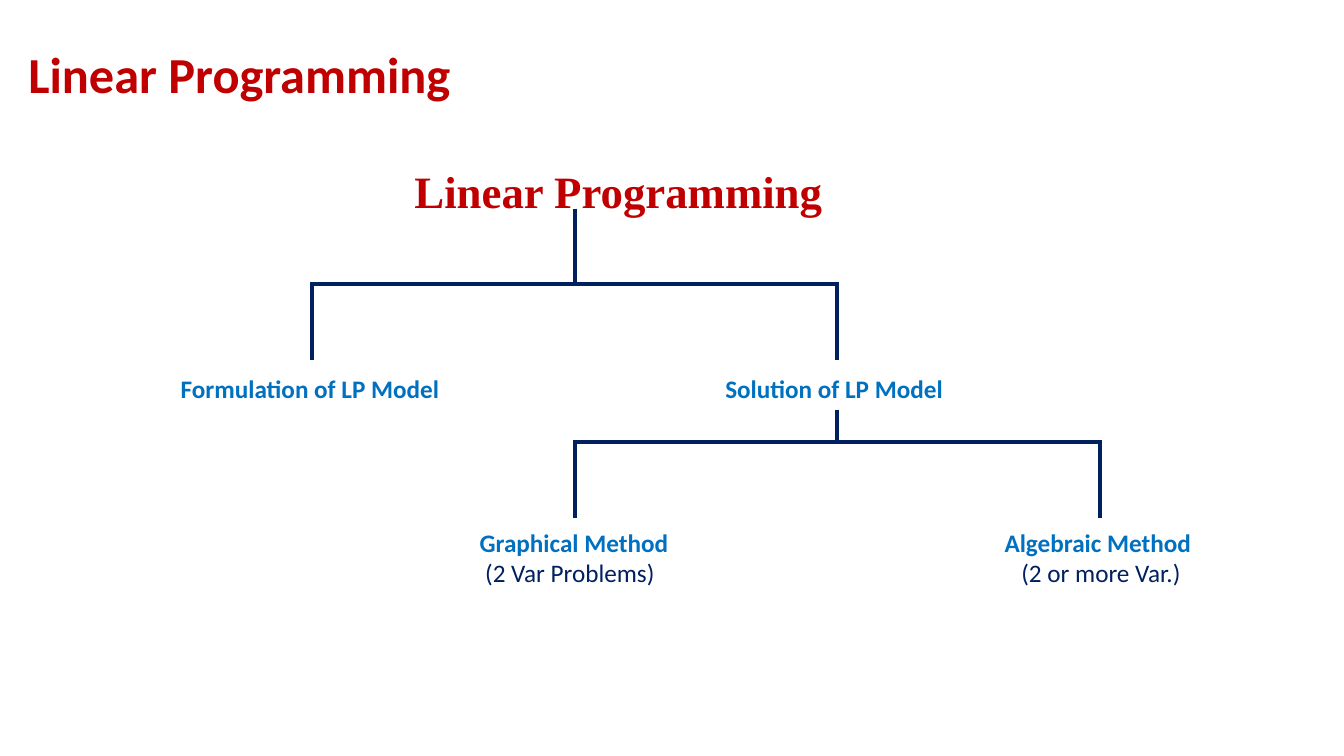
from dataclasses import dataclass
from pptx import Presentation
from pptx.dml.color import RGBColor
from pptx.enum.shapes import MSO_CONNECTOR
from pptx.enum.text import MSO_ANCHOR, MSO_AUTO_SIZE, PP_ALIGN
from pptx.oxml.ns import qn
from pptx.util import Pt
from lxml.etree import SubElement


@dataclass(frozen=True)
class Theme:
    red: str = "C00000"
    blue: str = "0070C0"
    navy: str = "002060"
    sans: str = "Calibri"
    serif: str = "Times New Roman"
    title: int = 36
    head: int = 32
    body: int = 18
    line: int = 3


THEME = Theme()


def write(para, text, size=THEME.body, font=THEME.sans, color=THEME.blue,
          bold=True, indent=0, spacing=1):
    para.alignment = PP_ALIGN.LEFT
    para.line_spacing = spacing
    if indent:
        props = para._p.get_or_add_pPr()
        props.set("marL", str(Pt(indent)))
        props.set("indent", "0")
    run = para.add_run()
    run.text = text
    run.font.size = Pt(size)
    run.font.name = font
    run.font.bold = bold
    run.font.color.rgb = RGBColor.from_string(color)


def add_title(slide, box, text):
    title = slide.shapes.title
    title.left, title.top, title.width, title.height = map(Pt, box)
    frame = title.text_frame
    frame.word_wrap = True
    frame.auto_size = MSO_AUTO_SIZE.NONE
    frame.vertical_anchor = MSO_ANCHOR.BOTTOM
    write(frame.paragraphs[0], text, size=THEME.title, color=THEME.red, spacing=0.9)


def add_label(slide, box, text, note=None, indent=0, **style):
    label = slide.shapes.add_textbox(*map(Pt, box))
    frame = label.text_frame
    frame.word_wrap = True
    write(frame.paragraphs[0], text, **style)
    if note:
        write(frame.add_paragraph(), note, color=THEME.navy, bold=False, indent=indent)
    return label


def add_line(slide, start, end):
    line = slide.shapes.add_connector(MSO_CONNECTOR.STRAIGHT, *map(Pt, start + end))
    line.line.color.rgb = RGBColor.from_string(THEME.navy)
    line.line.width = Pt(THEME.line)
    SubElement(line._element.spPr, qn("a:effectLst"))
    return line


def add_fork(slide, box, stem):
    left, top, width, height = box
    mid, bar = left + width / 2, top + stem
    trunk = add_line(slide, (mid, top), (mid, bar))
    for side in (left, left + width):
        add_line(slide, (mid, bar), (side, bar))
        add_line(slide, (side, bar - THEME.line / 2), (side, top + height))
    return trunk


def add_tree(slide, box):
    left, top, width, height = box
    span = width * 2 / 3
    low = left + width - span
    add_label(slide, (left + 66, top - 35.5, 310, 44), "Linear Programming",
              size=THEME.head, font=THEME.serif, color=THEME.red)
    add_fork(slide, (left, top, span, 108), 54)
    add_label(slide, (left - 101, top + 114, 200, 30), "Formulation of LP Model")
    model = add_label(slide, (left + span - 87, top + 114, 174, 30), "Solution of LP Model")
    trunk = add_fork(slide, (low, top + 144, span, height - 144), 23)
    trunk.begin_connect(model, 2)
    leaves = (("Graphical Method", "(2 Var Problems)", 4),
              ("Algebraic Method", "(2 or more Var.)", 12))
    for step, (name, note, indent) in enumerate(leaves):
        add_label(slide, (low - 75 + step * span * 1.0, top + height + 3, 150, 51),
                  name, note, indent)


def main():
    deck = Presentation()
    deck.slide_width, deck.slide_height = Pt(960), Pt(540)
    slide = deck.slides.add_slide(deck.slide_layouts[5])
    add_title(slide, (13, 25, 804, 53.5), "Linear Programming")
    add_tree(slide, (223, 149, 562.5, 221))
    deck.save("out.pptx")


if __name__ == "__main__":
    main()
